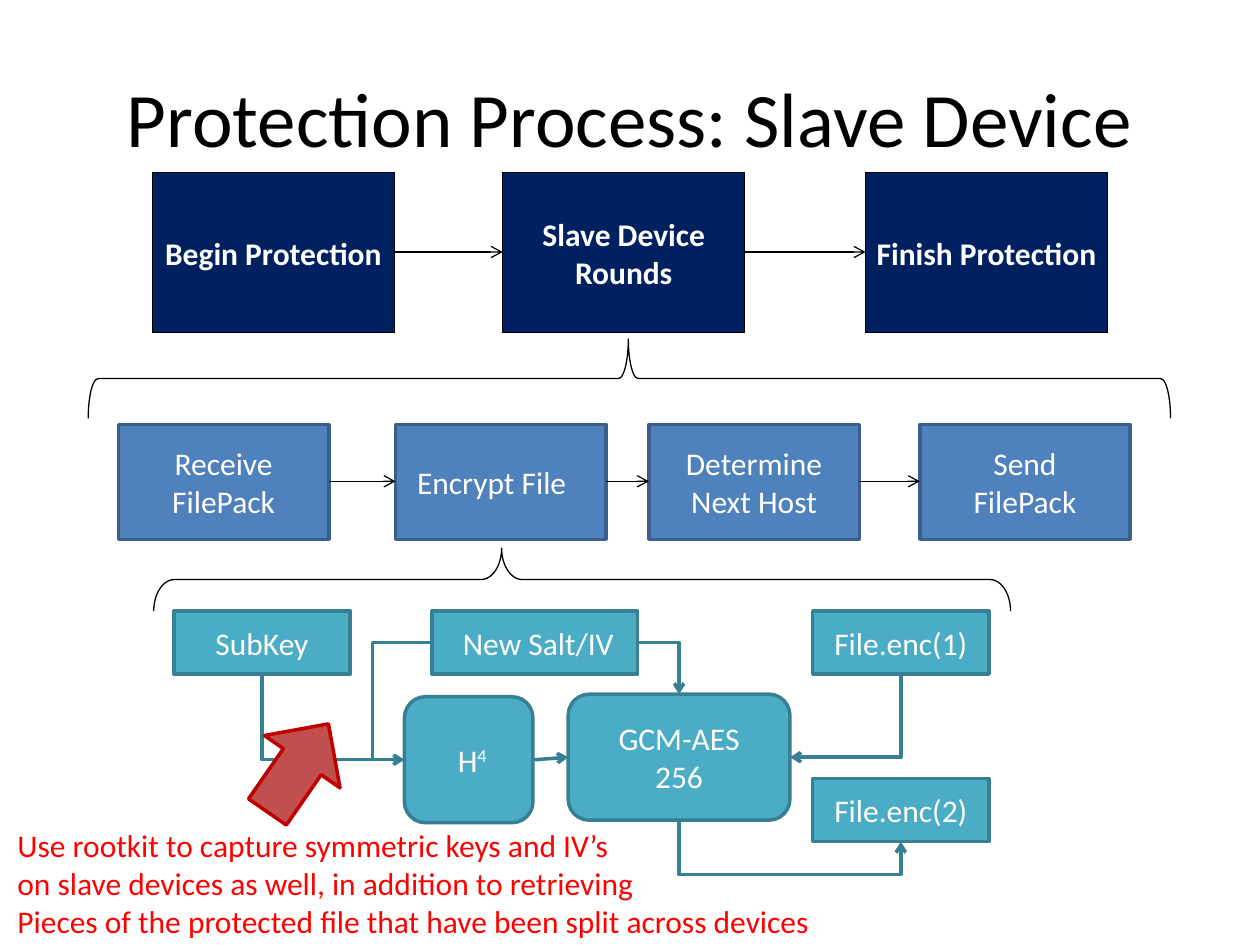
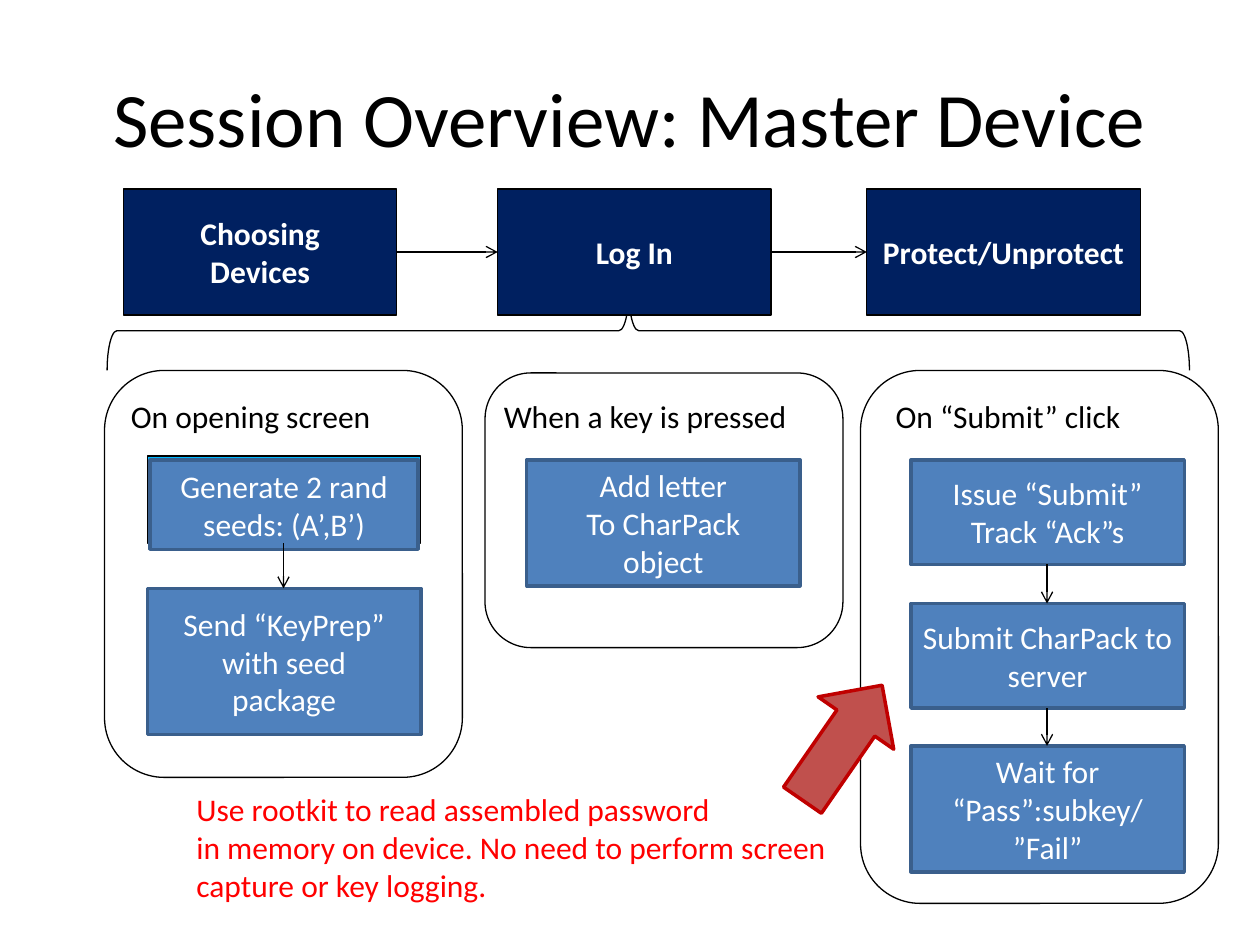
import pptx
import pptx.util
import pptx.dml.color
import pptx.enum.shapes
import pptx.enum.text
import pptx.oxml.ns
import lxml.etree
from dataclasses import dataclass
from typing import Optional


@dataclass
class Style:
    """Fill, outline and lettering of one kind of box."""
    fill: Optional[str] = None
    line: Optional[str] = None
    weight: float = 0.75
    ink: str = "000000"
    size: int = 18
    bold: bool = False


THEME = {
    "font": "Calibri",
    "title": Style(size=44),
    "heading": Style(),
    "warning": Style(ink="FF0000"),
    "phase": Style("002060", "000000", ink="FFFFFF", bold=True),
    "step": Style("4F81BD", "3A5F8C", 2, "FFFFFF"),
    "cipher": Style("4BACC6", "377F92", 2, "FFFFFF"),
    "attack": Style("C0504D", "C00000", 2),
    "outline": Style(None, "000000"),
    "backing": Style("00B8FF", "000000"),
}
SHAPE = pptx.enum.shapes.MSO_SHAPE
ALIGN = pptx.enum.text.PP_ALIGN
ANCHOR = pptx.enum.text.MSO_ANCHOR
rgb = pptx.dml.color.RGBColor.from_string
qn = pptx.oxml.ns.qn

deck = pptx.Presentation()
deck.slide_width = pptx.util.Inches(10)
deck.slide_height = pptx.util.Inches(7.5)
CELL = deck.slide_width // 100  # grid of 100 columns by 75 rows


def place(page, area, look, lines=(), kind=SHAPE.RECTANGLE, inset=1.0,
          align=ALIGN.CENTER, anchor=ANCHOR.MIDDLE):
    """Add a styled shape (or a text box if kind is None) on grid cells."""
    style = THEME[look]
    frame = [round(cells * CELL) for cells in area]
    if kind is None:
        box = page.shapes.add_textbox(*frame)
    else:
        box = page.shapes.add_shape(kind, *frame)
        box.shadow.inherit = False
        if style.fill:
            box.fill.solid()
            box.fill.fore_color.rgb = rgb(style.fill)
        else:
            box.fill.background()
        box.line.color.rgb = rgb(style.line)
        box.line.width = pptx.util.Pt(style.weight)
    text = box.text_frame
    text.word_wrap = True
    text.vertical_anchor = anchor
    text.margin_left = text.margin_right = round(inset * CELL)
    for index, line in enumerate(lines):
        para = text.add_paragraph() if index else text.paragraphs[0]
        para.text = line
        para.alignment = align
        para.font.name = THEME["font"]
        para.font.size = pptx.util.Pt(style.size)
        para.font.bold = style.bold
        para.font.color.rgb = rgb(style.ink)
    return box


def connect(page, start, end, look="outline", bend="straightConnector1",
            turn=0, flip=None, reach=None, head="arrow"):
    """Draw an arrow; a bent one is a preset turned about its midpoint."""
    style = THEME[look]
    if turn or flip:
        middle = [(a + b) / 2 for a, b in zip(start, end)]
        half = [abs(b - a) / 2 for a, b in zip(start, end)]
        if turn in (90, 270):
            half.reverse()
        start = [m - h for m, h in zip(middle, half)]
        end = [m + h for m, h in zip(middle, half)]
    line = page.shapes.add_connector(
        pptx.enum.shapes.MSO_CONNECTOR.STRAIGHT,
        *[round(cells * CELL) for cells in (*start, *end)])
    line.line.color.rgb = rgb(style.line)
    line.line.width = pptx.util.Pt(style.weight)
    properties = line._element.spPr
    frame = properties.find(qn("a:xfrm"))
    if turn:
        frame.set("rot", str(turn * 60000))
    if flip:
        frame.set(flip, "1")
    geometry = properties.find(qn("a:prstGeom"))
    geometry.set("prst", bend)
    if reach:
        guide = lxml.etree.SubElement(geometry.find(qn("a:avLst")), qn("a:gd"))
        guide.set("name", "adj1")
        guide.set("fmla", f"val {round(reach * 100000)}")
    tip = lxml.etree.SubElement(properties.find(qn("a:ln")), qn("a:tailEnd"))
    tip.set("type", head)
    lxml.etree.SubElement(properties, qn("a:effectLst"))


pages = []
for title in ("Protection Process: Slave Device",
              "Session Overview: Master Device"):
    page = deck.slides.add_slide(deck.slide_layouts[6])
    place(page, (5, 3, 90, 12.5), "title", [title], None)
    pages.append(page)
slave, master = pages

# Braces: an upright left brace turned to point up
for page, area, curl, point in (
        (slave, (43.7, 12, 5, 68), 0.326, 0.594),
        (slave, (46.8, -12.9, 6.3, 85.9), 0.125, 0.501),
        (master, (48.3, -16.7, 6.3, 85.9), 0.125, 0.518)):
    brace = place(page, area, "outline", kind=SHAPE.LEFT_BRACE)
    brace.rotation = 90
    brace.adjustments[0] = curl
    brace.adjustments[1] = point

# Phases along the top of both slides
for page, top, width, height, phases in (
        (slave, 13.7, 19.2, 12.7, ((12.1, ["Begin Protection"]),
                                   (39.9, ["Slave Device Rounds"]),
                                   (68.7, ["Finish Protection"]))),
        (master, 15, 21.7, 10, ((9.8, ["Choosing", "Devices"]),
                                (39.5, ["Log In"]),
                                (68.8, ["Protect/Unprotect"])))):
    for left, lines in phases:
        place(page, (left, top, width, height), "phase", lines, inset=0.3)
    for (left, _), (following, _) in zip(phases, phases[1:]):
        connect(page, (left + width, 20), (following, 20))

# Slave device: steps of one round
steps = ((9.4, ["Receive FilePack"], ALIGN.CENTER),
         (31.4, ["Encrypt File"], ALIGN.LEFT),
         (51.5, ["Determine", "Next Host"], ALIGN.CENTER),
         (73, ["Send FilePack"], ALIGN.CENTER))
for left, lines, align in steps:
    place(slave, (left, 33.7, 16.7, 9.1), "step", lines,
          SHAPE.FLOWCHART_PROCESS, inset=1.7, align=align)
for step, following in zip(steps, steps[1:]):
    connect(slave, (step[0] + 16.7, 38.2), (following[0], 38.2))

# Slave device: inside the encryption step
for left, top, width, name in ((13.8, 48.5, 14, "SubKey"),
                               (34.3, 48.5, 16.3, " New Salt/IV"),
                               (64.5, 48.5, 14, "File.enc(1)"),
                               (64.5, 61.8, 14, "File.enc(2)")):
    place(slave, (left, top, width, 5), "cipher", [name])
digest = place(slave, (32.1, 55.3, 10.2, 10), "cipher", [" H"],
               SHAPE.ROUNDED_RECTANGLE)
power = digest.text_frame.paragraphs[0].add_run()
power.text = "4"
power._r.get_or_add_rPr().set("baseline", "30000")
place(slave, (45.1, 55.1, 17.6, 10), "cipher", ["GCM-AES", "256"],
      SHAPE.ROUNDED_RECTANGLE)

for start, end, bend, turn, flip, reach, head in (
        ((20.8, 53.5), (32.1, 60.3), "bentConnector2", 270, "flipH", None, "triangle"),
        ((53.9, 65.1), (71.5, 66.8), "bentConnector3", 270, "flipH", 2.53, "arrow"),
        ((34.3, 51), (32.1, 60.3), "bentConnector3", 180, "flipV", 2.15, "arrow"),
        ((42.4, 60.3), (45.1, 60.1), "straightConnector1", 0, None, None, "arrow"),
        ((71.5, 53.5), (62.7, 60.1), "bentConnector2", 90, None, None, "arrow"),
        ((50.6, 51), (53.9, 55.1), "bentConnector2", 0, None, None, "arrow")):
    connect(slave, start, end, "cipher", bend, turn, flip, reach, head)

# Master device: one card per event
for left, top, height, indent, heading in (
        (8.3, 29.4, 32.3, 1.1, "On opening screen"),
        (38.5, 29.6, 21.8, 0.5, "When a key is pressed"),
        (68.3, 29.4, 42.3, 1.8, "On “Submit” click")):
    place(master, (left, top, 28.4, height), "outline",
          kind=SHAPE.ROUNDED_RECTANGLE)
    place(master, (left + indent, 31, 26, 3.8), "heading", [heading], None,
          align=ALIGN.LEFT, anchor=ANCHOR.TOP)

place(master, (11.7, 36.2, 21.7, 6.9), "backing")
for left, top, width, height, inset, lines in (
        (11.9, 36.5, 21.3, 7.1, 1, ["Generate 2 rand seeds: (A’,B’)"]),
        (11.7, 46.7, 21.7, 11.6, 1.8, ["Send “KeyPrep” with seed package"]),
        (41.8, 36.5, 21.7, 10, 1.8, ["Add letter", "To CharPack object"]),
        (72.3, 36.5, 21.7, 8.3, 1.8, ["Issue “Submit”", "Track “Ack”s"]),
        (72.3, 47.9, 21.7, 8.3, 0.5, ["Submit CharPack to server"]),
        (72.3, 59.2, 21.7, 10, 0.5, ["Wait for “Pass”:subkey/", "”Fail”"])):
    place(master, (left, top, width, height), "step", lines, inset=inset)
for column, top, bottom in ((22.5, 43.1, 46.7), (83.1, 44.8, 47.9),
                            (83.1, 56.2, 59.2)):
    connect(master, (column, top), (column, bottom))

# Attack on each slide: a slanted arrow and its remark
for page, arrow_area, remark_area, lines in (
        (slave, (19.4, 57.3, 8.5, 7.3), (0.4, 65.1, 66, 9.9),
         ["Use rootkit to capture symmetric keys and IV’s",
          "on slave devices as well, in addition to retrieving",
          "Pieces of the protected file that have been split across devices"]),
        (master, (61.3, 55.3, 11.1, 7.3), (14.6, 62.2, 53.2, 10.1),
         ["Use rootkit to read assembled password",
          "in memory on device. No need to perform screen",
          "capture or key logging."])):
    arrow = place(page, arrow_area, "attack", kind=SHAPE.RIGHT_ARROW)
    arrow.rotation = 304.7
    place(page, remark_area, "warning", lines, None,
          align=ALIGN.LEFT, anchor=ANCHOR.TOP)

deck.save("out.pptx")
